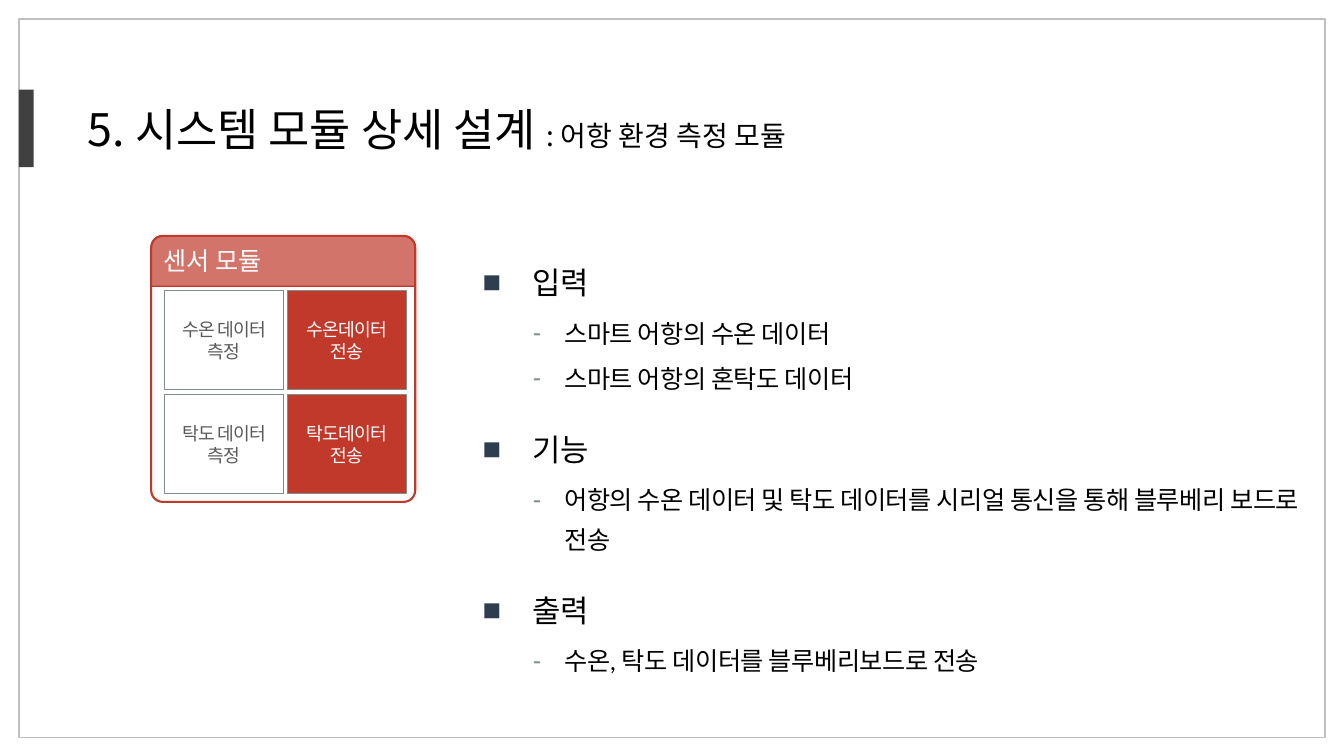
from lxml import etree
from pptx import Presentation
from pptx.dml.color import RGBColor
from pptx.enum.shapes import MSO_SHAPE
from pptx.enum.text import MSO_ANCHOR, MSO_AUTO_SIZE, PP_ALIGN
from pptx.oxml.ns import qn
from pptx.util import Pt

RECTANGLE = MSO_SHAPE.RECTANGLE
ROUNDED = MSO_SHAPE.ROUNDED_RECTANGLE
ROUNDED_TOP = MSO_SHAPE.ROUND_2_SAME_RECTANGLE
TOP, MIDDLE = MSO_ANCHOR.TOP, MSO_ANCHOR.MIDDLE
LEFT, CENTER = PP_ALIGN.LEFT, PP_ALIGN.CENTER
GROW = MSO_AUTO_SIZE.SHAPE_TO_FIT_TEXT

BLACK = RGBColor(0x00, 0x00, 0x00)
WHITE = RGBColor(0xFF, 0xFF, 0xFF)
FRAME_GRAY = RGBColor(0xBF, 0xBF, 0xBF)
DARK_GRAY = RGBColor(0x40, 0x40, 0x40)
TEXT_GRAY = RGBColor(0x59, 0x59, 0x59)
RED = RGBColor(0xC0, 0x39, 0x2B)
NAVY = RGBColor(0x2C, 0x3E, 0x50)
SLATE = RGBColor(0x7F, 0x8C, 0x8D)

KOREAN_FONT = "Noto Sans CJK KR"
LATIN_FONT = "Lato"

SECTIONS = [
    ("입력", ["스마트 어항의 수온 데이터", "스마트 어항의 혼탁도 데이터"]),
    ("기능", ["어항의 수온 데이터 및 탁도 데이터를 시리얼 통신을 통해 블루베리 보드로 전송"]),
    ("출력", ["수온, 탁도 데이터를 블루베리보드로 전송"]),
]
MODULE_ROWS = [
    ("수온 데이터 측정", "수온데이터 전송"),
    ("탁도 데이터 측정", "탁도데이터 전송"),
]


def format_run(run, size, color, font=KOREAN_FONT, spacing=0):
    run.font.size = Pt(size)
    run.font.name = font
    run.font.color.rgb = color
    properties = run.font._element
    if spacing:
        properties.set("spc", str(round(spacing * 100)))
    latin = properties.find(qn("a:latin"))
    east_asian = etree.Element(qn("a:ea"), typeface=KOREAN_FONT)
    latin.addnext(east_asian)


def set_insets(text_frame, inset):
    text_frame.margin_left = text_frame.margin_right = Pt(inset)
    text_frame.margin_top = text_frame.margin_bottom = Pt(inset)


def add_box(shapes, kind, bounds, fill=None, line=None, line_width=1, opacity=100):
    shape = shapes.add_shape(kind, *map(Pt, bounds))
    shape.shadow.inherit = False
    if fill is None:
        shape.fill.background()
    else:
        shape.fill.solid()
        shape.fill.fore_color.rgb = fill
        if opacity < 100:
            color = shape._element.spPr.find(qn("a:solidFill"))[0]
            etree.SubElement(color, qn("a:alpha"), val=str(opacity * 1000))
    if line is None:
        shape.line.fill.background()
    else:
        shape.line.color.rgb = line
        shape.line.width = Pt(line_width)
    return shape


def add_cell(shapes, bounds, text, fill, color, opacity):
    cell = add_box(shapes, RECTANGLE, bounds, fill, SLATE, 0.5, opacity)
    text_frame = cell.text_frame
    text_frame.text = text
    text_frame.word_wrap = True
    text_frame.vertical_anchor = MIDDLE
    set_insets(text_frame, 2.88)
    paragraph = text_frame.paragraphs[0]
    paragraph.alignment = CENTER
    format_run(paragraph.runs[0], 13, color, spacing=-0.5)


def add_title(slide):
    title = slide.shapes.title
    title.left, title.top, title.width, title.height = map(Pt, (55.4, 69.1, 625, 46))
    text_frame = title.text_frame
    text_frame.vertical_anchor = TOP
    text_frame.word_wrap = True
    text_frame.auto_size = GROW
    paragraph = text_frame.paragraphs[0]
    paragraph.alignment = LEFT
    for text, size in (("5. 시스템 모듈 상세 설계 ", 32), (": 어항 환경 측정 모듈", 20)):
        run = paragraph.add_run()
        run.text = text
        format_run(run, size, BLACK)


def add_module(slide):
    shapes = slide.shapes.add_group_shape().shapes

    # Header and outline
    header = add_box(shapes, ROUNDED_TOP, (108, 168.5, 188.6, 36), RED, RED, 1, 70)
    header.adjustments[0] = 0.223
    outline = add_box(shapes, ROUNDED, (108, 168.5, 188.6, 190), None, RED, 1.5)
    outline.adjustments[0] = 0.044
    label = shapes.add_textbox(*map(Pt, (113.8, 172.1, 177.8, 27.4)))
    label.text_frame.text = "센서 모듈"
    label.text_frame.word_wrap = True
    label.text_frame.auto_size = GROW
    set_insets(label.text_frame, 2.88)
    format_run(label.text_frame.paragraphs[0].runs[0], 18, WHITE, LATIN_FONT)

    # Measuring cells on the left, sending cells on the right
    styles = [(WHITE, TEXT_GRAY, 50), (RED, WHITE, 100)]
    for row, texts in enumerate(MODULE_ROWS):
        for column, text in enumerate(texts):
            bounds = (117.3 + 87.8 * column, 207.3 + 74.2 * row, 85.2, 71)
            add_cell(shapes, bounds, text, *styles[column])


def format_bullet(paragraph, character, color, margin, hanging):
    properties = paragraph._p.get_or_add_pPr()
    properties.set("marL", str(Pt(margin)))
    properties.set("indent", str(-Pt(hanging)))
    bullet_color = etree.SubElement(properties, qn("a:buClr"))
    etree.SubElement(bullet_color, qn("a:srgbClr"), val=str(color))
    etree.SubElement(properties, qn("a:buFont"), typeface="Arial")
    etree.SubElement(properties, qn("a:buChar"), char=character)


def add_heading(paragraph, text, space_before):
    paragraph.text = text
    format_bullet(paragraph, "■", NAVY, 35.3, 35.3)
    paragraph.line_spacing = 1.4
    paragraph.space_before = Pt(space_before)
    paragraph.space_after = Pt(6)
    format_run(paragraph.runs[0], 22, BLACK, LATIN_FONT)


def add_detail(paragraph, text):
    paragraph.text = text
    format_bullet(paragraph, "-", SLATE, 58.3, 22.5)
    paragraph.line_spacing = 1.3
    paragraph.space_after = Pt(4)
    format_run(paragraph.runs[0], 18, BLACK, LATIN_FONT, -0.3)


def add_description(slide):
    box = slide.shapes.add_textbox(*map(Pt, (337.7, 174.2, 622, 368.6)))
    text_frame = box.text_frame
    text_frame.word_wrap = True
    for index, (heading, details) in enumerate(SECTIONS):
        paragraph = text_frame.add_paragraph() if index else text_frame.paragraphs[0]
        add_heading(paragraph, heading, 12 if index else 0)
        for detail in details:
            add_detail(text_frame.add_paragraph(), detail)


def main():
    presentation = Presentation()
    presentation.slide_width = Pt(960)
    presentation.slide_height = Pt(540)
    slide = presentation.slides.add_slide(presentation.slide_layouts[5])

    # Page frame and accent bar
    add_box(slide.shapes, RECTANGLE, (13.5, 13.5, 933, 513.5), None, FRAME_GRAY)
    add_box(slide.shapes, RECTANGLE, (13.5, 64, 10.6, 55.5), DARK_GRAY)

    # Content
    add_title(slide)
    add_description(slide)
    add_module(slide)
    presentation.save("out.pptx")


if __name__ == "__main__":
    main()
